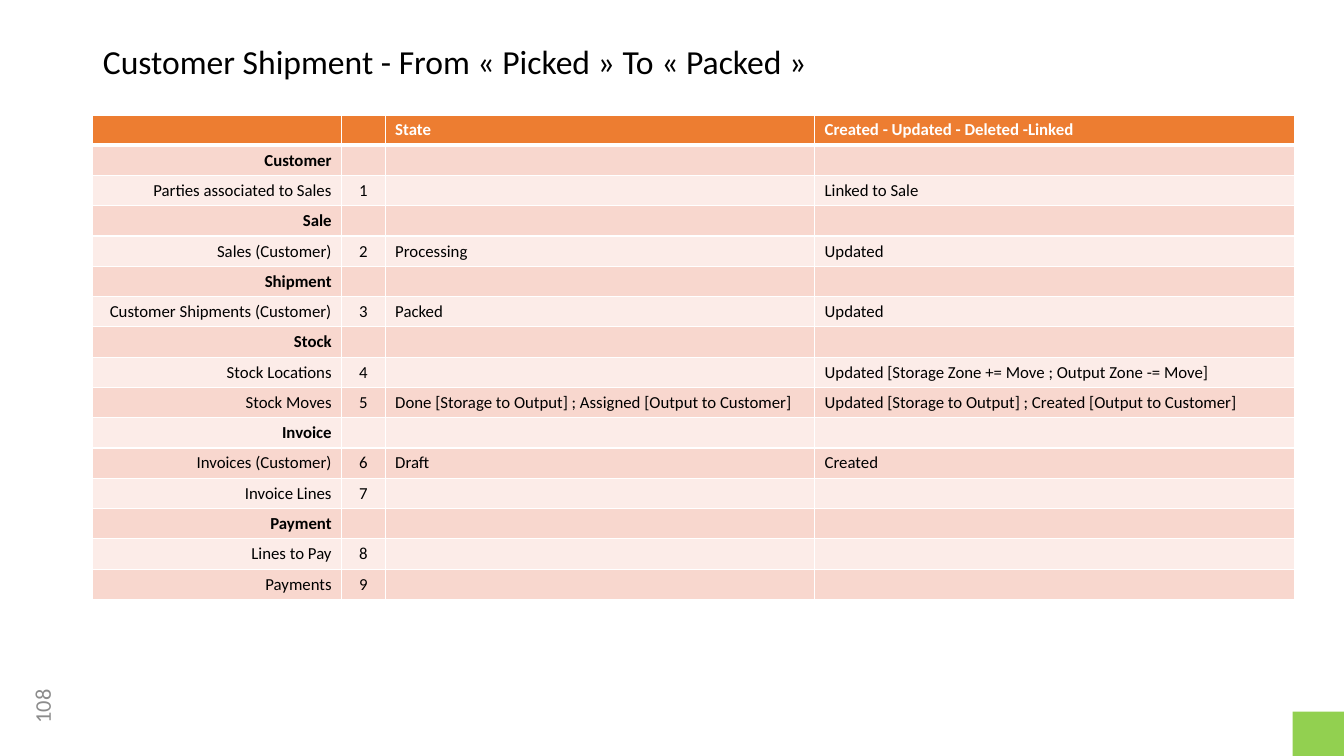
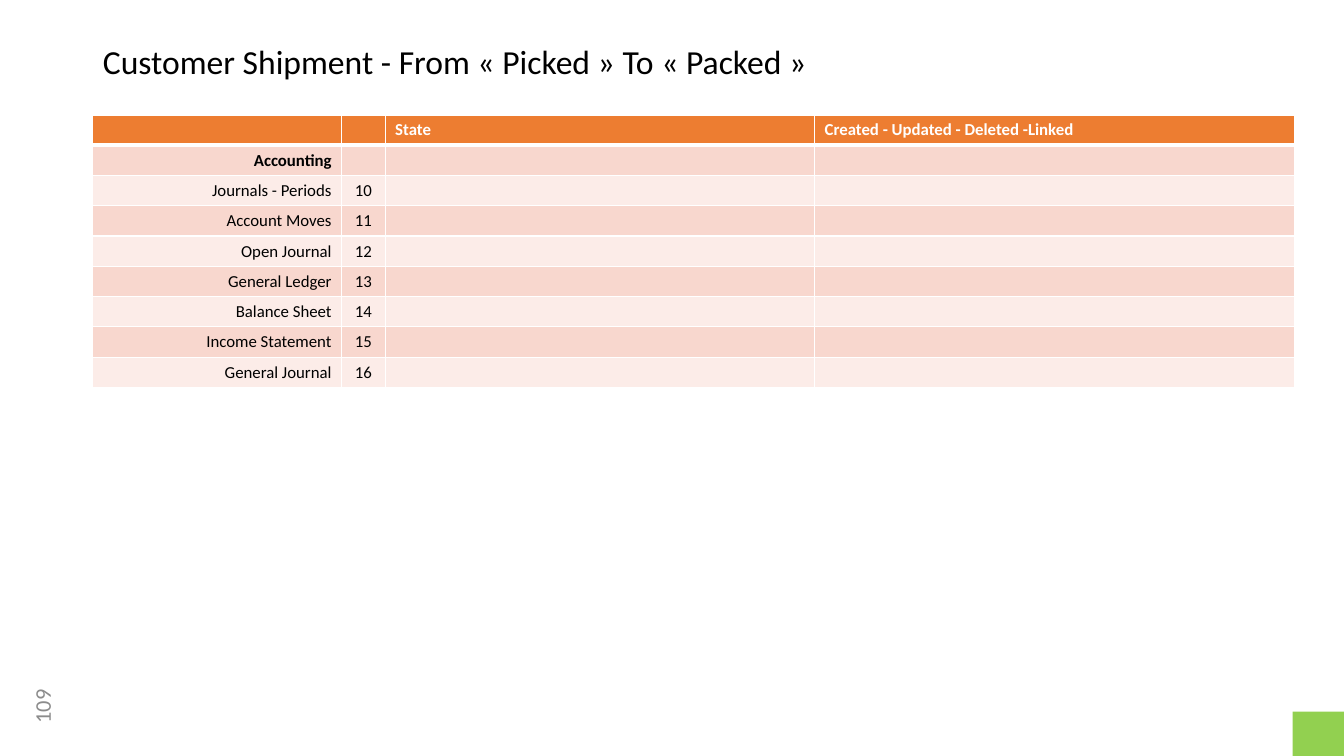
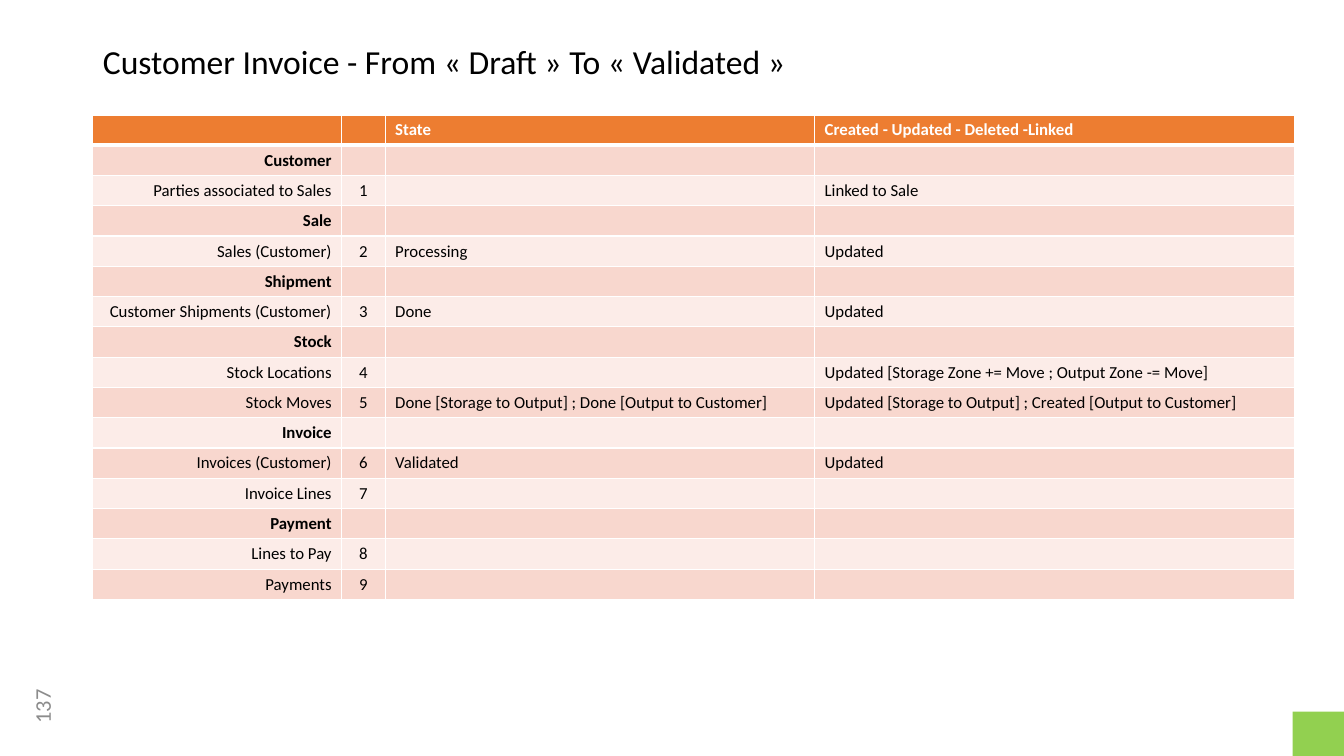
from dataclasses import dataclass

from lxml.etree import SubElement
from pptx import Presentation
from pptx.dml.color import RGBColor
from pptx.enum.shapes import MSO_SHAPE as Shape
from pptx.enum.text import MSO_ANCHOR as Anchor, MSO_AUTO_SIZE as AutoSize, PP_ALIGN as Align
from pptx.oxml.ns import qn
from pptx.util import Inches, Pt


@dataclass(frozen=True)
class Theme:
    font: str = "Calibri"
    title_size: int = 24
    table_size: int = 12
    number_size: int = 16
    text: str = "000000"
    white: str = "FFFFFF"
    gray: str = "8C8C8C"
    header: str = "ED7D31"
    bands: tuple = ("FCECE8", "F8D7CE")
    accent: str = "92D050"
    border: int = 1
    header_border: int = 3


THEME = Theme()
SLIDE_SIZE = (13.33, 7.5)
TITLE_BOX = (0.92, 0.4, 11.5, 0.51)
NUMBER_BOX = (0.04, 6.81, 0.75, 0.4)
CORNER_SIZE = (0.51, 0.44)
TABLE_ORIGIN = (0.92, 1.14)
COLUMNS = (2.47, 0.43, 4.26, 4.76)
COLUMN_ALIGN = (Align.RIGHT, Align.CENTER, Align.LEFT, Align.LEFT)
ROW_HEIGHT = 0.3
HEADER = ("", "", "State", "Created - Updated - Deleted -Linked")

PROCESS_SECTIONS = {
    "Customer": ["Parties associated to Sales"],
    "Sale": ["Sales (Customer)"],
    "Shipment": ["Customer Shipments (Customer)"],
    "Stock": ["Stock Locations", "Stock Moves"],
    "Invoice": ["Invoices (Customer)", "Invoice Lines"],
    "Payment": ["Lines to Pay", "Payments"],
}
ACCOUNTING_SECTIONS = {
    "Accounting": [
        "Journals - Periods", "Account Moves", "Open Journal", "General Ledger",
        "Balance Sheet", "Income Statement", "General Journal",
    ],
}
COMMON_EFFECTS = {
    "Parties associated to Sales": ("", "Linked to Sale"),
    "Sales (Customer)": ("Processing", "Updated"),
    "Stock Locations": ("", "Updated [Storage Zone += Move ; Output Zone -= Move]"),
}
MOVES_CHANGE = "Updated [Storage to Output] ; Created [Output to Customer]"
PACKED_EFFECTS = COMMON_EFFECTS | {
    "Customer Shipments (Customer)": ("Packed", "Updated"),
    "Stock Moves": ("Done [Storage to Output] ; Assigned [Output to Customer]", MOVES_CHANGE),
    "Invoices (Customer)": ("Draft", "Created"),
}
VALIDATED_EFFECTS = COMMON_EFFECTS | {
    "Customer Shipments (Customer)": ("Done", "Updated"),
    "Stock Moves": ("Done [Storage to Output] ; Done [Output to Customer]", MOVES_CHANGE),
    "Invoices (Customer)": ("Validated", "Updated"),
}
PACKED_TITLE = "Customer Shipment - From « Picked » To « Packed »"
VALIDATED_TITLE = "Customer Invoice - From « Draft » To « Validated »"
SLIDES = [
    (PACKED_TITLE, 108, PROCESS_SECTIONS, PACKED_EFFECTS, 1),
    (PACKED_TITLE, 109, ACCOUNTING_SECTIONS, {}, 10),
    (VALIDATED_TITLE, 137, PROCESS_SECTIONS, VALIDATED_EFFECTS, 1),
]


def inches(values):
    return [Inches(value) for value in values]


def write(frame, text, *, size, color=THEME.text, bold=False, align=Align.LEFT, spacing=None):
    paragraph = frame.paragraphs[0]
    paragraph.alignment = align
    if spacing:
        paragraph.line_spacing = spacing
    if not text:
        SubElement(paragraph._p, qn("a:endParaRPr"), sz=str(size * 100))
        return
    run = paragraph.add_run()
    run.text = text
    run.font.name = THEME.font
    run.font.size = Pt(size)
    run.font.bold = bold
    run.font.color.rgb = RGBColor.from_string(color)


def paint(target, color):
    target.fill.solid()
    target.fill.fore_color.rgb = RGBColor.from_string(color)


def set_borders(cell, top, bottom):
    properties = cell._tc.get_or_add_tcPr()
    widths = {"a:lnL": THEME.border, "a:lnR": THEME.border, "a:lnT": top, "a:lnB": bottom}
    for position, (tag, width) in enumerate(widths.items()):
        line = SubElement(properties, qn(tag), w=str(Pt(width)))
        fill = SubElement(line, qn("a:solidFill"))
        SubElement(fill, qn("a:srgbClr"), val=THEME.white)
        properties.insert(position, line)


def table_rows(sections, effects, number):
    rows = [(HEADER, True)]
    for section, labels in sections.items():
        rows.append(((section, "", "", ""), True))
        for label in labels:
            rows.append(((label, str(number), *effects.get(label, ("", ""))), False))
            number += 1
    return rows


def add_effects_table(slide, rows):
    size = (sum(COLUMNS), ROW_HEIGHT * len(rows))
    table = slide.shapes.add_table(len(rows), len(COLUMNS), *inches(TABLE_ORIGIN + size)).table
    for column, width in zip(table.columns, COLUMNS):
        column.width = Inches(width)
    for row_index, (texts, bold) in enumerate(rows):
        table.rows[row_index].height = Inches(ROW_HEIGHT)
        is_header = row_index == 0
        top = THEME.header_border if row_index == 1 else THEME.border
        bottom = THEME.header_border if is_header else THEME.border
        for column_index, text in enumerate(texts):
            cell = table.cell(row_index, column_index)
            paint(cell, THEME.header if is_header else THEME.bands[row_index % 2])
            set_borders(cell, top, bottom)
            write(cell.text_frame, text, size=THEME.table_size, bold=bold,
                  color=THEME.white if is_header else THEME.text,
                  align=COLUMN_ALIGN[column_index])


def add_frame(slide, title, page):
    heading = slide.shapes.title
    heading.left, heading.top, heading.width, heading.height = inches(TITLE_BOX)
    frame = heading.text_frame
    frame.word_wrap = True
    frame.auto_size = AutoSize.NONE
    frame.vertical_anchor = Anchor.TOP
    write(frame, title, size=THEME.title_size, spacing=0.9)

    number = slide.shapes.add_textbox(*inches(NUMBER_BOX))
    number.rotation = 270
    number.text_frame.word_wrap = True
    number.text_frame.vertical_anchor = Anchor.MIDDLE
    write(number.text_frame, str(page), size=THEME.number_size, color=THEME.gray,
          align=Align.CENTER)

    origin = [total - part for total, part in zip(SLIDE_SIZE, CORNER_SIZE)]
    corner = slide.shapes.add_shape(Shape.RECTANGLE, *inches(origin), *inches(CORNER_SIZE))
    corner.shadow.inherit = False
    paint(corner, THEME.accent)
    corner.line.fill.background()


def main():
    presentation = Presentation()
    presentation.slide_width, presentation.slide_height = inches(SLIDE_SIZE)
    for title, page, sections, effects, first_number in SLIDES:
        slide = presentation.slides.add_slide(presentation.slide_layouts[5])
        add_frame(slide, title, page)
        add_effects_table(slide, table_rows(sections, effects, first_number))
    presentation.save("out.pptx")


if __name__ == "__main__":
    main()
